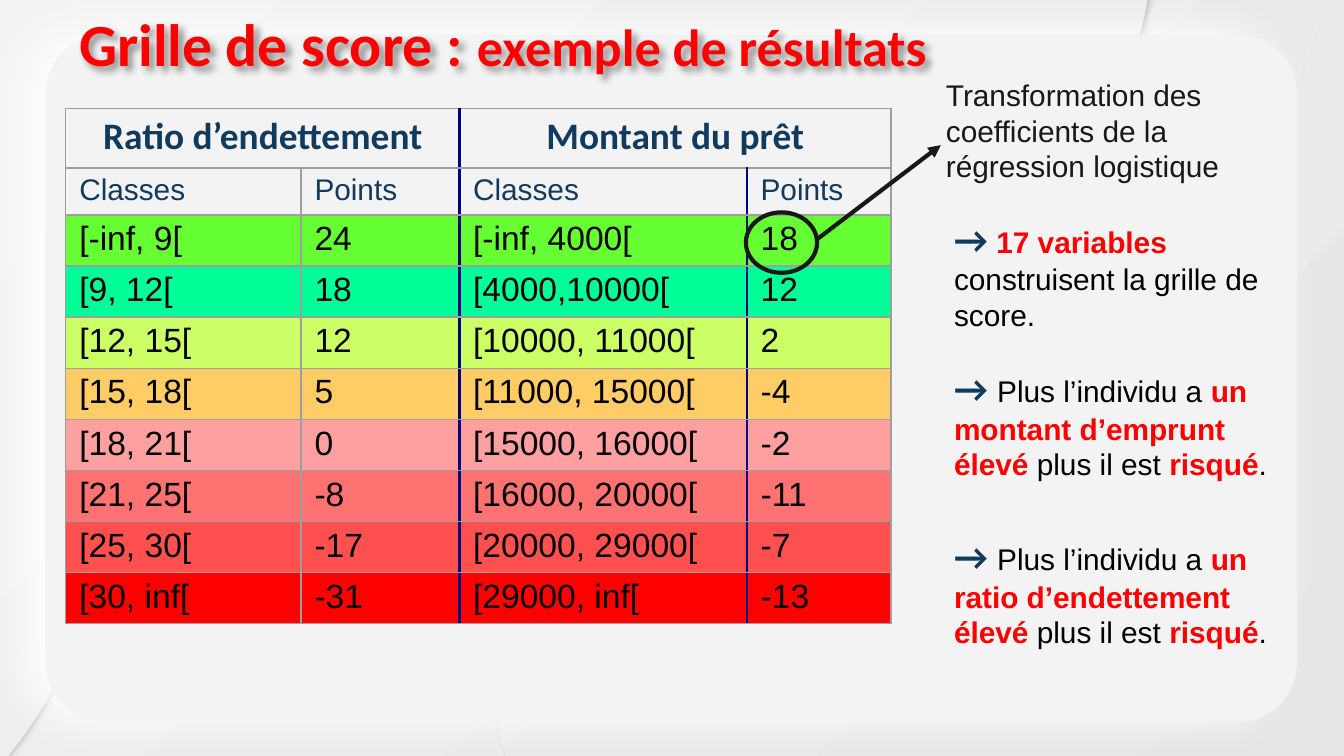
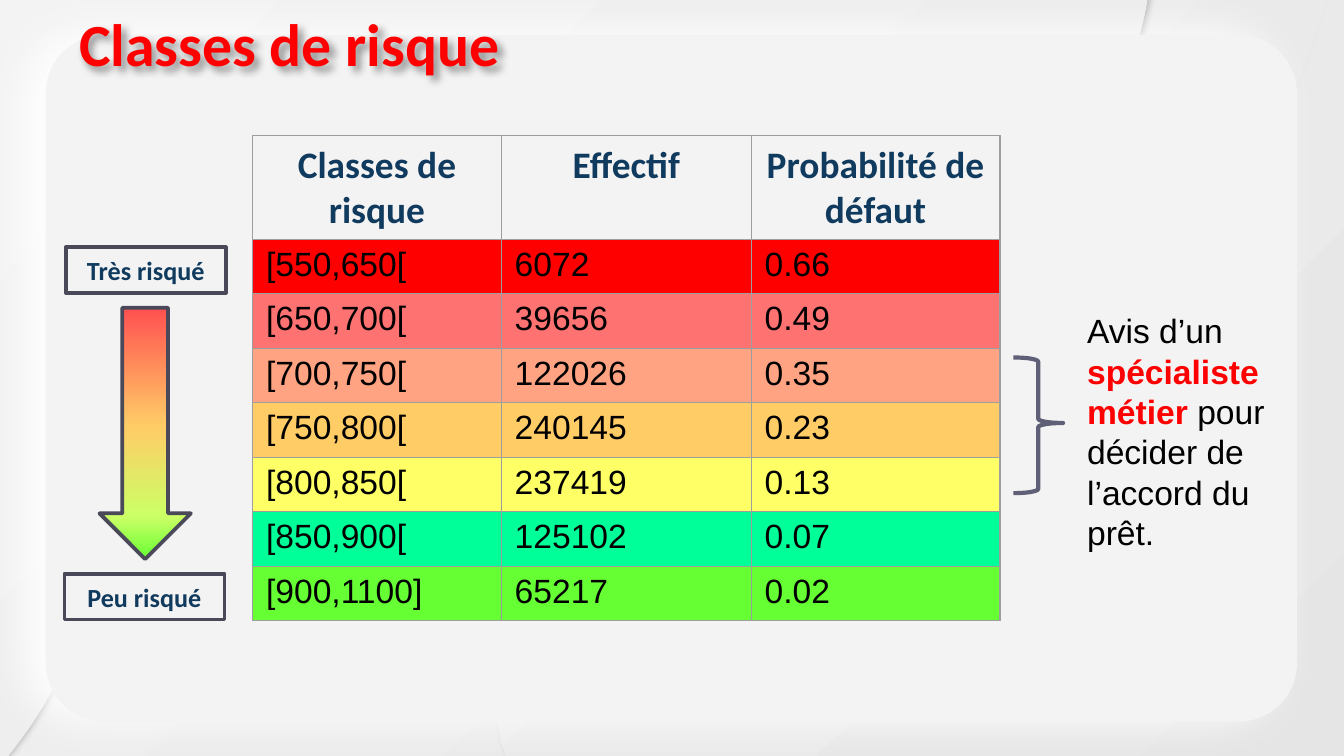
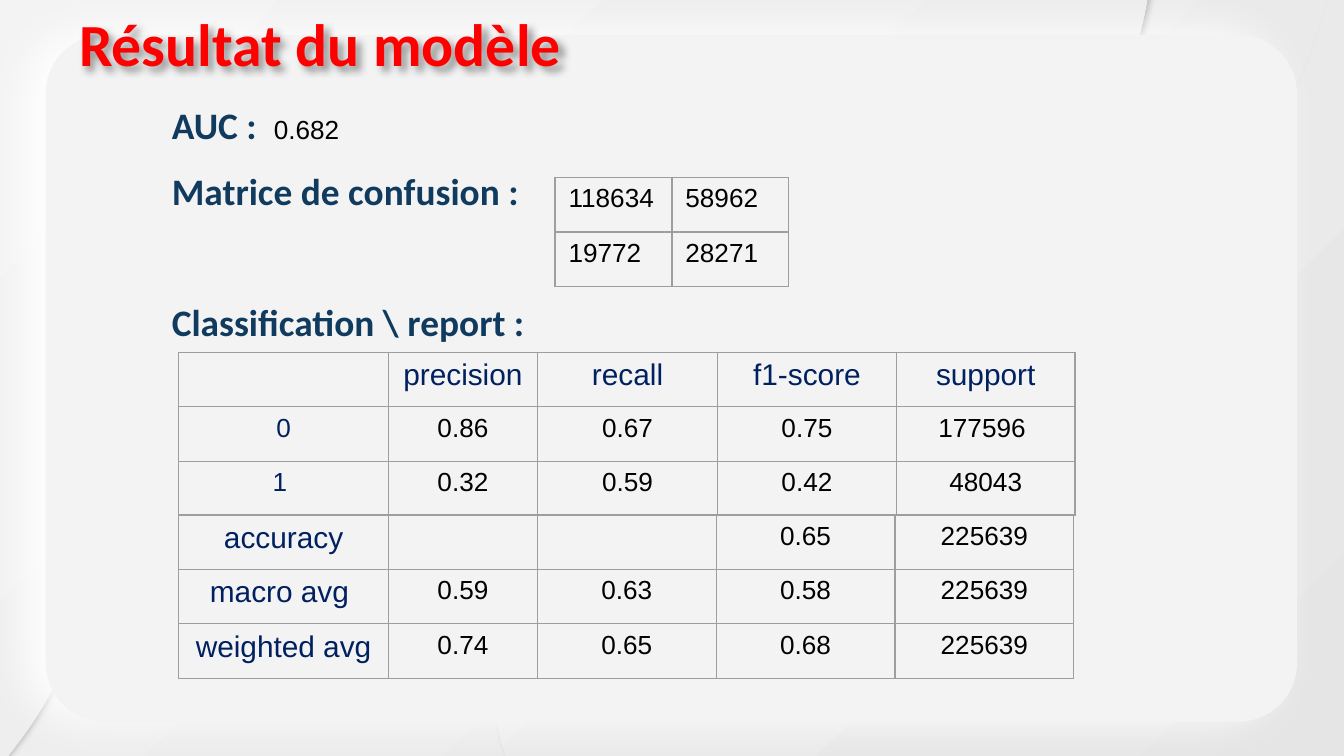
from copy import deepcopy
from dataclasses import dataclass
from typing import Optional

from lxml import etree
from pptx import Presentation
from pptx.dml.color import RGBColor
from pptx.enum import shapes, text
from pptx.oxml.ns import qn
from pptx.util import Inches, Pt

RED = RGBColor(0xFF, 0x00, 0x00)
CORAL = RGBColor(0xFF, 0x50, 0x50)
ROSE = RGBColor(0xFE, 0x72, 0x72)
PINK = RGBColor(0xFE, 0xA0, 0xA0)
SALMON = RGBColor(0xFF, 0xA3, 0x82)
ORANGE = RGBColor(0xFF, 0xCC, 0x66)
YELLOW = RGBColor(0xFF, 0xFF, 0x66)
LIME = RGBColor(0xCC, 0xFF, 0x66)
MINT = RGBColor(0x00, 0xFF, 0x99)
GREEN = RGBColor(0x66, 0xFF, 0x33)
BLACK = RGBColor(0x00, 0x00, 0x00)
INK = RGBColor(0x18, 0x18, 0x18)
BLUE = RGBColor(0x11, 0x3B, 0x5E)
NAVY = RGBColor(0x00, 0x20, 0x60)
DIVIDER = RGBColor(0x00, 0x00, 0x87)
GRID = RGBColor(0x9E, 0x9E, 0x9E)
SLATE = RGBColor(0x49, 0x49, 0x5A)
BRACE = RGBColor(0x5F, 0x5F, 0x77)
PALE = RGBColor(0xF3, 0xF3, 0xF3)
SILVER = RGBColor(0xE5, 0xE5, 0xE5)
SHADE = RGBColor(0xB7, 0xB7, 0xB7)
WHITE = RGBColor(0xFF, 0xFF, 0xFF)

LEFT, CENTER = text.PP_ALIGN.LEFT, text.PP_ALIGN.CENTER
SHAPE = shapes.MSO_SHAPE
PAGE_WIDTH = 10
PAGE_HEIGHT = PAGE_WIDTH * 9 / 16
ROW_HEIGHT = 29.2 / 72


@dataclass(frozen=True)
class Style:
    size: int
    font: str = "Arial"
    color: RGBColor = BLACK
    bold: bool = False


@dataclass
class Row:
    texts: tuple
    style: Style
    fill: Optional[RGBColor] = None
    align: int = LEFT
    lead: Optional[Style] = None


TITLE = Style(32, "Calibri", RED, True)
SUBTITLE = Style(28, "Calibri", RED, True)
HEADING = Style(20, "Calibri", BLUE, True)
TAG = Style(14, "Calibri", BLUE, True)
COLUMN = Style(16, color=BLUE)
BODY, NOTE, SMALL = Style(18), Style(16), Style(14)
BODY_KEY = Style(18, color=RED, bold=True)
NOTE_KEY = Style(16, color=RED, bold=True)
NOTE_INK = Style(16, color=INK)
LABEL, SMALL_LABEL = Style(16, color=NAVY), Style(14, color=NAVY)

WAVE = [
    [(9.22, 1.31), (8.53, 2.04), (7.36, 2.16), (8.01, 1.31)],
    [(8.01, 1.31), (8.38, 0.83), (8.53, 0.15), (8.59, -0.34)],
    [(0, -0.34)],
    [(0, 5.7), (0.17, 5.49), (0.48, 5.12), (0.68, 4.41)],
    [(0.68, 4.41), (1.2, 2.55), (2.72, 2.48), (3.3, 3.16)],
    [(3.3, 3.16), (3.95, 3.93), (3.11, 5.88), (4.56, 6.52)],
    [(10, 6.52)],
    [(10, -0.34)],
    [(9.96, -0.34), (9.89, 0.07), (9.7, 0.81), (9.22, 1.31)],
]
PAPER = [(0, PALE), (100, SILVER)]
RISK_SCALE = [(0, CORAL), (47, ORANGE), (83, LIME), (100, GREEN)]

SCORES = [
    Row(("Ratio d’endettement", "", "Montant du prêt", ""), HEADING, align=CENTER),
    Row(("Classes", "Points", "Classes", "Points"), COLUMN),
    Row(("[-inf, 9[", "24", "[-inf, 4000[", "18"), BODY, GREEN),
    Row(("[9, 12[", "18", "[4000,10000[", "12"), BODY, MINT),
    Row(("[12, 15[", "12", "[10000, 11000[", "2"), BODY, LIME),
    Row(("[15, 18[", "5", "[11000, 15000[", "-4"), BODY, ORANGE),
    Row(("[18, 21[", "0", "[15000, 16000[", "-2"), BODY, PINK),
    Row(("[21, 25[", "-8", "[16000, 20000[", "-11"), BODY, ROSE),
    Row(("[25, 30[", "-17", "[20000, 29000[", "-7"), BODY, CORAL),
    Row(("[30, inf[", "-31", "[29000, inf[", "-13"), BODY, RED),
]
RISKS = [
    Row(("Classes de risque", "Effectif", "Probabilité de défaut"), HEADING, align=CENTER),
    Row(("[550,650[", "6072", "0.66"), BODY, RED),
    Row(("[650,700[", "39656", "0.49"), BODY, ROSE),
    Row(("[700,750[", "122026", "0.35"), BODY, SALMON),
    Row(("[750,800[", "240145", "0.23"), BODY, ORANGE),
    Row(("[800,850[", "237419", "0.13"), BODY, YELLOW),
    Row(("[850,900[", "125102", "0.07"), BODY, MINT),
    Row(("[900,1100]", "65217", "0.02"), BODY, GREEN),
]
CONFUSION = [
    Row(("118634", "58962"), SMALL),
    Row(("19772", "28271"), SMALL),
]
CLASS_REPORT = [
    Row(("", "precision", "recall", "f1-score", "support"), LABEL, align=CENTER),
    Row(("0", "0.86", "0.67", "0.75", "177596 "), SMALL, align=CENTER, lead=SMALL_LABEL),
    Row(("1 ", "0.32", "0.59", "0.42", "48043"), SMALL, align=CENTER, lead=SMALL_LABEL),
]
AVERAGE_REPORT = [
    Row(("accuracy", "", "", "0.65", "225639"), SMALL, align=CENTER, lead=LABEL),
    Row(("macro avg ", "0.59", "0.63", "0.58", "225639"), SMALL, align=CENTER, lead=LABEL),
    Row(("weighted avg ", "0.74", "0.65", "0.68", "225639"), SMALL, align=CENTER, lead=LABEL),
]


def risk_note(factor):
    return [("→", HEADING), (" ", BODY), ("Plus l’individu a ", NOTE),
            (f"un {factor} élevé ", NOTE_KEY), ("plus il est ", NOTE),
            ("risqué", NOTE_KEY), (".", NOTE)]


SCORE_NOTES = [
    (3.92, risk_note("ratio d’endettement")),
    (2.67, risk_note("montant d’emprunt")),
    (1.56, [("→ ", HEADING), ("17 variables ", NOTE_KEY),
            ("construisent la grille de score.", NOTE)]),
]
TRANSFORMATION = [("Transformation des coefficients de la régression logistique", NOTE_INK)]
ADVICE = [("Avis d’un ", BODY), ("spécialiste métier ", BODY_KEY),
          ("pour décider de l’accord du prêt.", BODY)]
RISK_TAGS = [("Très risqué", 0.49, 1.84), ("Peu risqué", 0.48, 4.27)]
MODEL_HEADINGS = [
    (0.71, [("AUC :  ", HEADING), ("0.682", SMALL)]),
    (1.2, [("Matrice de confusion :", HEADING)]),
    (2.18, [("Classification \\ report :", HEADING)]),
]


def frame(*lengths):
    return [Inches(length) for length in lengths]


def write(para, runs, align=LEFT):
    para.alignment = align
    for words, style in runs:
        span = para.add_run()
        span.text = words
        span.font.size = Pt(style.size)
        span.font.name = style.font
        span.font.bold = style.bold
        span.font.color.rgb = style.color


def paint_gradient(fill, stops, angle):
    fill.gradient()
    fill.gradient_angle = (360 - angle) % 360
    first = fill.gradient_stops[0]._gs
    for _ in stops[2:]:
        first.addnext(deepcopy(first))
    for stop, (position, color) in zip(fill.gradient_stops, stops):
        stop.position = position / 100
        stop.color.rgb = color


def cast_shadow(shape, color, alpha, blur, distance, angle):
    shape.shadow.inherit = False
    effects = shape._element.spPr.find(qn("a:effectLst"))
    shadow = etree.SubElement(effects, qn("a:outerShdw"), blurRad=str(Pt(blur)),
                              dist=str(Pt(distance)), dir=str(angle * 60000),
                              algn="bl", rotWithShape="0")
    tint = etree.SubElement(shadow, qn("a:srgbClr"), val=str(color))
    etree.SubElement(tint, qn("a:alpha"), val=str(alpha * 1000))


def add_text(page, left, top, width, height, runs):
    box = page.shapes.add_textbox(*frame(left, top, width, height))
    box.text_frame.word_wrap = True
    box.text_frame.auto_size = text.MSO_AUTO_SIZE.SHAPE_TO_FIT_TEXT
    write(box.text_frame.paragraphs[0], runs)
    return box


def add_figure(page, kind, place, line, width, fill=None):
    figure = page.shapes.add_shape(kind, *frame(*place))
    figure.shadow.inherit = False
    if fill is None:
        figure.fill.background()
    else:
        figure.fill.solid()
        figure.fill.fore_color.rgb = fill
    if line is None:
        figure.line.fill.background()
    else:
        figure.line.color.rgb = line
        figure.line.width = Pt(width)
    return figure


def set_borders(cell, borders):
    properties = cell._tc.get_or_add_tcPr()
    for index, (side, color, width) in enumerate(borders):
        line = etree.Element(qn(f"a:ln{side}"), w=str(Pt(width)))
        solid = etree.SubElement(line, qn("a:solidFill"))
        etree.SubElement(solid, qn("a:srgbClr"), val=str(color))
        properties.insert(index, line)


def add_grid(page, left, top, widths, heights, rows, merges=(), dividers=(), margin=0.05):
    place = frame(left, top, sum(widths), sum(heights))
    table = page.shapes.add_table(len(rows), len(widths), *place).table
    table.first_row = table.horz_banding = False
    for column, width in zip(table.columns, widths):
        column.width = Inches(width)
    for line, height in zip(table.rows, heights):
        line.height = Inches(height)
    for row, first, last in merges:
        table.cell(row, first).merge(table.cell(row, last))
    for y, row in enumerate(rows):
        for x, words in enumerate(row.texts):
            cell = table.cell(y, x)
            cell.margin_top = cell.margin_bottom = Inches(margin)
            if row.fill is None:
                cell.fill.background()
            else:
                cell.fill.solid()
                cell.fill.fore_color.rgb = row.fill
            right = x + (cell.span_width if cell.is_merge_origin else 1)
            thin, thick = (GRID, 0.75), (DIVIDER, 1.5)
            set_borders(cell, [
                ("L", *(thick if x in dividers and not cell.is_spanned else thin)),
                ("R", *(thick if right in dividers else thin)),
                ("T", *thin), ("B", *thin)])
            if words:
                style = row.lead if row.lead and x == 0 else row.style
                write(cell.text_frame.paragraphs[0], [(words, style)], row.align)


def curve_points(corners, steps=12):
    if len(corners) == 1:
        return corners
    weights = (1, 3, 3, 1)
    return [tuple(sum(w * (1 - t) ** (3 - k) * t ** k * corner[axis]
                      for k, (w, corner) in enumerate(zip(weights, corners)))
                  for axis in (0, 1))
            for t in (step / steps for step in range(steps + 1))]


def decorate(page):
    points = [frame(*point) for part in WAVE for point in curve_points(part)]
    builder = page.shapes.build_freeform(*points[0])
    builder.add_line_segments(points[1:], close=True)
    wave = builder.convert_to_shape()
    paint_gradient(wave.fill, PAPER, 45)
    wave.line.fill.background()
    cast_shadow(wave, SHADE, 91, 2.2, 1.5, 0)
    panel = add_figure(page, SHAPE.ROUNDED_RECTANGLE, (0.34, 0.26, 9.31, 5.11), None, 0, PALE)
    panel.adjustments[0] = 0.085
    cast_shadow(panel, WHITE, 100, 24.8, 11.2, 185)


def add_page(deck, title, width=6.6):
    page = deck.slides.add_slide(deck.slide_layouts[6])
    decorate(page)
    heading = add_text(page, 0.49, 0, width, 0.64, title)
    cast_shadow(heading, BLACK, 40, 4, 3, 45)
    return page


def build_scores(deck):
    page = add_page(deck, [("Grille de score : ", TITLE),
                           ("exemple de résultats", SUBTITLE)], 7.42)
    add_grid(page, 0.49, 0.81, (1.75, 1.18, 2.14, 1.07), [0.44, 0.35] + [0.38] * 8,
             SCORES, merges=[(0, 0, 1), (0, 2, 3)], dividers=(2, 3), margin=0.04)
    for top, runs in SCORE_NOTES:
        add_text(page, 7, top, 2.75, 0.98, runs)
    add_figure(page, SHAPE.OVAL, (5.55, 1.58, 0.53, 0.45), INK, 2.25)
    arrow = page.shapes.add_connector(shapes.MSO_CONNECTOR.STRAIGHT,
                                      *frame(6.08, 1.78, 7, 1.08))
    arrow.line.color.rgb = INK
    arrow.line.width = Pt(2.25)
    etree.SubElement(arrow.line._get_or_add_ln(), qn("a:tailEnd"), type="triangle")
    etree.SubElement(arrow._element.spPr, qn("a:effectLst"))
    add_text(page, 6.94, 0.52, 2.75, 0.91, TRANSFORMATION)


def build_risks(deck):
    page = add_page(deck, [("Classes de risque", TITLE)])
    add_grid(page, 1.88, 1.01, (1.85, 1.86, 1.85), [0.77] + [ROW_HEIGHT] * 7, RISKS)
    scale = add_figure(page, SHAPE.DOWN_ARROW, (0.74, 2.29, 0.68, 1.87), SLATE, 2)
    paint_gradient(scale.fill, RISK_SCALE, 90)
    for words, left, top in RISK_TAGS:
        tag = add_figure(page, SHAPE.RECTANGLE, (left, top, 1.19, 0.34), SLATE, 2, PALE)
        tag.text_frame.vertical_anchor = text.MSO_ANCHOR.MIDDLE
        write(tag.text_frame.paragraphs[0], [(words, TAG)], CENTER)
    brace = add_figure(page, SHAPE.RIGHT_BRACE, (7.54, 2.66, 0.37, 1.01), BRACE, 2.25)
    brace.adjustments[0] = 0.083
    brace.adjustments[1] = 0.483
    add_text(page, 7.99, 2.26, 1.82, 1.92, ADVICE)


def build_model(deck):
    page = add_page(deck, [("Résultat du modèle", TITLE)])
    add_grid(page, 4.13, 1.32, [0.87] * 2, [ROW_HEIGHT] * 2, CONFUSION)
    for top, runs in MODEL_HEADINGS:
        add_text(page, 1.18, top, 5.11, 0.44, runs)
    for top, recall, rows in [(2.62, 1.34, CLASS_REPORT), (3.83, 1.33, AVERAGE_REPORT)]:
        add_grid(page, 1.33, top, (1.56, 1.11, recall, 1.33, 1.33), [ROW_HEIGHT] * 3, rows)


def main():
    deck = Presentation()
    deck.slide_width, deck.slide_height = frame(PAGE_WIDTH, PAGE_HEIGHT)
    paint_gradient(deck.slide_master.background.fill, PAPER, 45)
    build_scores(deck)
    build_risks(deck)
    build_model(deck)
    deck.save("out.pptx")


if __name__ == "__main__":
    main()
